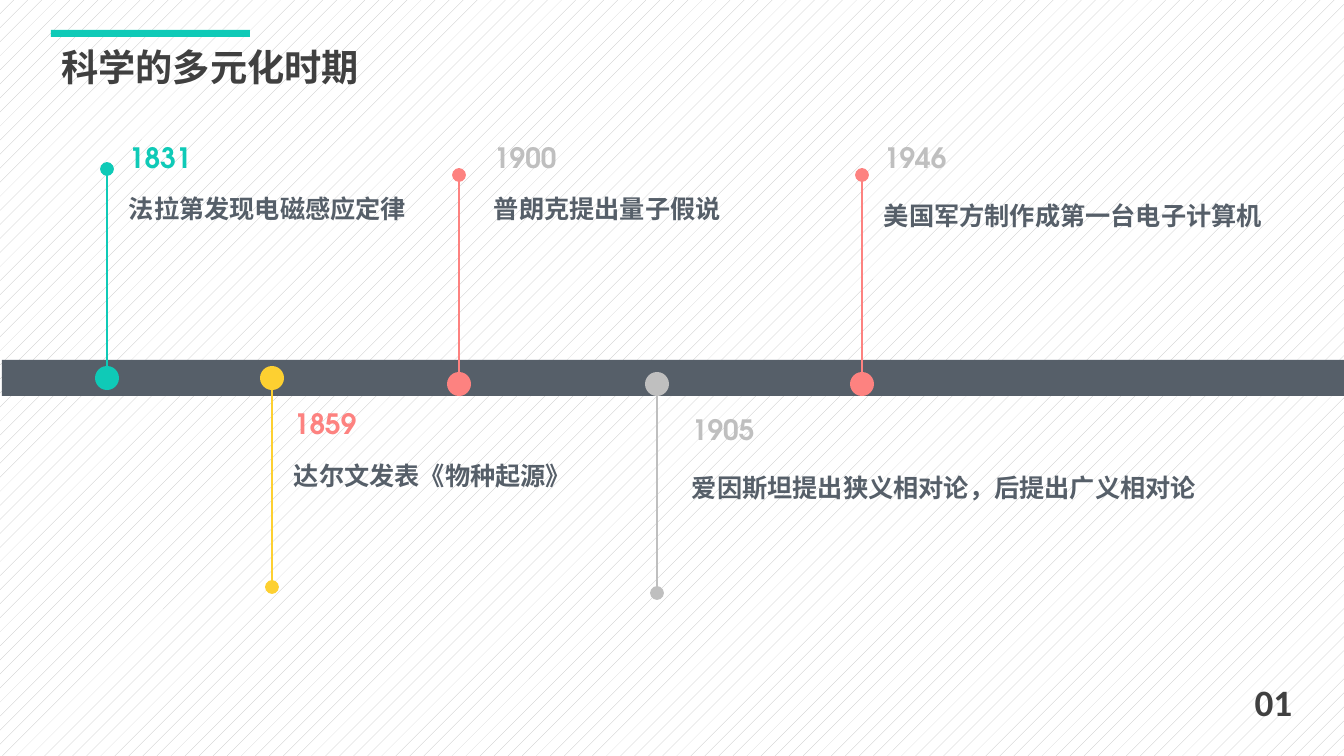
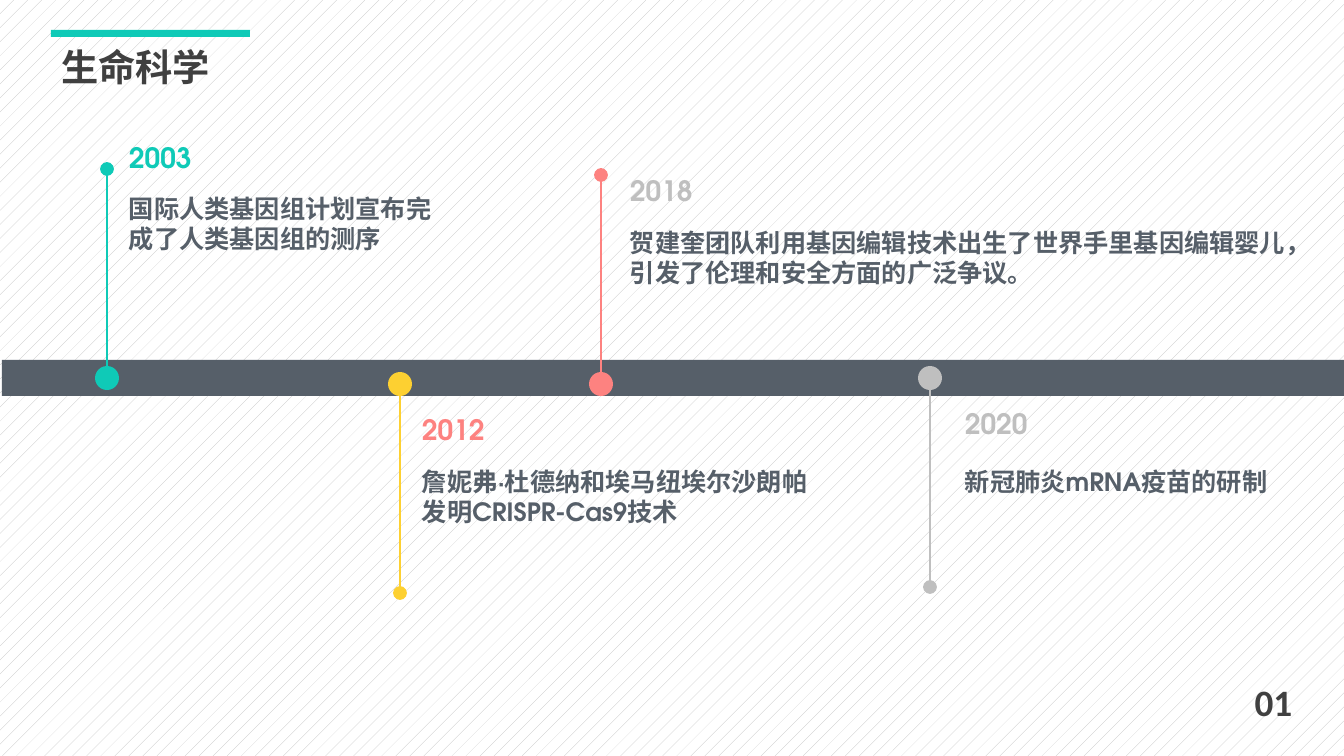
"""Build two science timeline slides."""
import pptx
import pptx.dml.color
import pptx.enum.dml
import pptx.enum.lang
import pptx.enum.shapes
import pptx.enum.text
import pptx.oxml.ns
import pptx.util
from lxml import etree

# (dot centre x, dot top, direction, colour), (year, colour, left, top), (lines, top, width)
SLIDES = [
    ("科学的多元化时期", [
        ((107, 366, "up", "teal"), ("1831", "teal", 119, 136),
         ("法拉第发现电磁感应定律", 188, 301)),
        ((272, 366, "down", "yellow"), ("1859", "coral", 284, 402),
         ("达尔文发表《物种起源》", 455, 301)),
        ((459, 372, "up", "coral"), ("1900", "silver", 484, 136),
         ("普朗克提出量子假说", 188, 251)),
        ((657, 372, "down", "silver"), ("1905", "silver", 682, 408),
         ("爱因斯坦提出狭义相对论，后提出广义相对论", 467, 528)),
        ((862, 372, "up", "coral"), ("1946", "silver", 874, 136),
         ("美国军方制作成第一台电子计算机", 195, 402)),
    ]),
    ("生命科学", [
        ((107, 366, "up", "teal"), ("2003", "teal", 119, 136),
         ("国际人类基因组计划宣布完\n成了人类基因组的测序", 188, 327)),
        ((400, 372, "down", "yellow"), ("2012", "coral", 412, 408),
         ("詹妮弗·杜德纳和埃马纽埃尔沙朗帕\n发明CRISPR-Cas9技术", 461, 408)),
        ((601, 372, "up", "coral"), ("2018", "silver", 620, 169),
         ("贺建奎团队利用基因编辑技术出生了世界手里基因编辑婴儿，\n"
          "引发了伦理和安全方面的广泛争议。", 222, 705)),
        ((930, 366, "down", "silver"), ("2020", "silver", 955, 402),
         ("新冠肺炎mRNA疫苗的研制", 461, 325)),
    ]),
]
PAGE_NUMBER = "01"
COLORS = {"teal": "0FCAB7", "yellow": "FDD031", "coral": "FD8280", "silver": "BFBFBF",
          "slate": "565F69", "ink": "404040", "white": "FFFFFF"}
FONT, NUMBER_FONT = "TeX Gyre Adventor", "Calibri"
WIDTH, HEIGHT = 1344, 756
DOT, STEM = 24, 197
SHAPE = pptx.enum.shapes.MSO_SHAPE
ALIGN = pptx.enum.text.PP_ALIGN


def px(*values):
    return [pptx.util.Emu(round(v * 914400 / 100.8)) for v in values]


def rgb(name):
    return pptx.dml.color.RGBColor.from_string(COLORS[name])


def add_block(slide, kind, box, color):
    sp = slide.shapes.add_shape(kind, *px(*box))
    sp.shadow.inherit = False
    sp.fill.solid()
    sp.fill.fore_color.rgb = rgb(color)
    sp.line.fill.background()


def set_text(sp, text, size, color, font=FONT):
    tf = sp.text_frame
    tf.word_wrap = True
    tf.auto_size = pptx.enum.text.MSO_AUTO_SIZE.NONE
    tf.text = text
    for p in tf.paragraphs:
        for r in p.runs:
            r.font.name = font
            r.font.size = pptx.util.Pt(size)
            r.font.bold = True
            r.font.color.rgb = rgb(color)
            r.font.language_id = pptx.enum.lang.MSO_LANGUAGE_ID.SIMPLIFIED_CHINESE


def add_text(slide, box, text, size, color, font=FONT):
    sp = slide.shapes.add_textbox(*px(*box))
    set_text(sp, text, size, color, font)
    return sp


def set_heading(sp, align):
    tf = sp.text_frame
    tf.vertical_anchor = pptx.enum.text.MSO_ANCHOR.MIDDLE
    p = tf.paragraphs[0]
    p.alignment = align
    p.line_spacing = 0.9
    p.space_before = pptx.util.Pt(10)


def add_stem(slide, x, start, end, color):
    line = slide.shapes.add_connector(
        pptx.enum.shapes.MSO_CONNECTOR.STRAIGHT, *px(x, start, x, end))
    line.line.color.rgb = rgb(color)
    line.line.width = pptx.util.Pt(1.5)
    qn = pptx.oxml.ns.qn
    etree.SubElement(line.line._get_or_add_ln(), qn("a:tailEnd"), type="oval", w="lg", len="lg")
    etree.SubElement(line._element.spPr, qn("a:effectLst"))


def add_event(slide, marker, year, note):
    x, top, direction, color = marker
    label, label_color, left, label_top = year
    text, text_top, width = note
    start, end = (top, top - STEM) if direction == "up" else (top + DOT, top + DOT + STEM)
    add_block(slide, SHAPE.OVAL, (x - DOT / 2, top, DOT, DOT), color)
    add_stem(slide, x, start, end, color)
    add_text(slide, (left, text_top, width, 40 + 31 * text.count("\n")), text, 18, "slate")
    add_text(slide, (left, label_top, 100, 44), label, 20, label_color)


def add_timeline(prs, title, events):
    slide = prs.slides.add_slide(prs.slide_layouts.get_by_name("Title Only"))
    add_block(slide, SHAPE.RECTANGLE, (51, 30, 199, 7), "teal")
    sp = slide.shapes.title
    sp.left, sp.top, sp.width, sp.height = px(51, 37, 622, 65)
    set_text(sp, title, 26.6, "ink")
    set_heading(sp, ALIGN.LEFT)
    number = add_text(slide, (1236, 672, 75, 65), PAGE_NUMBER, 26.6, "ink", NUMBER_FONT)
    set_heading(number, ALIGN.CENTER)
    add_block(slide, SHAPE.RECTANGLE, (2, 360, WIDTH - 2, 36), "slate")
    for event in events:
        add_event(slide, *event)


prs = pptx.Presentation()
prs.slide_width, prs.slide_height = px(WIDTH, HEIGHT)
fill = prs.slide_master.background.fill
fill.patterned()
fill.pattern = pptx.enum.dml.MSO_PATTERN.PERCENT_5
fill.fore_color.rgb = rgb("silver")
fill.back_color.rgb = rgb("white")
for title, events in SLIDES:
    add_timeline(prs, title, events)
prs.save("out.pptx")
